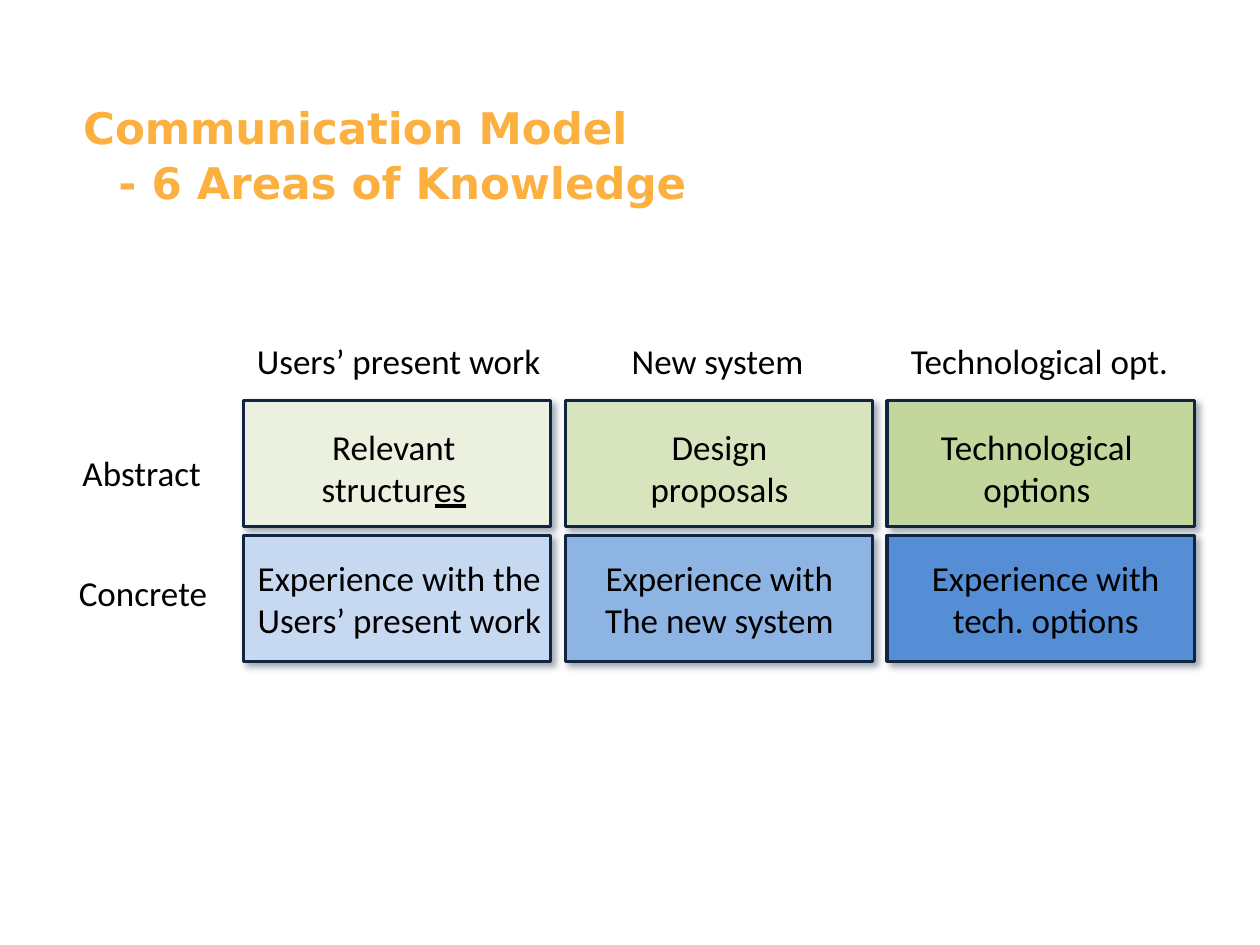
from lxml import etree
from pptx import Presentation
from pptx.dml import color as dml
from pptx.enum import shapes, text
from pptx.oxml import ns
from pptx.util import Inches, Pt

COLORS = {
    "title": "FBB040",
    "text": "000000",
    "border": "10253F",
    "abstract": ("EBF1DE", "D7E4BD", "C3D69B"),
    "concrete": ("C6D9F1", "8EB4E3", "558ED5"),
}
COLUMN_LEFTS = [1.93 + 2.555 * column for column in range(3)]
ROW_TOPS = {"abstract": 3.18, "concrete": 4.25}
CELL_WIDTH, CELL_HEIGHT = 2.44, 1
TEXT_TOPS = {"abstract": 3.32, "concrete": 4.36}

LABELS = [
    ("Abstract", 0.53, 3.53, 1.19),
    ("Concrete", 0.52, 4.48, 1.23),
    ("Users’ present work", 1.93, 2.64, 2.47),
    ("New system", 4.91, 2.64, 1.57),
    ("Technological opt.", 7.12, 2.64, 2.26),
]
AREAS = [
    ("abstract", 2.45, 1.35, False, ["Relevant", ("structur", "es")]),
    ("concrete", 1.89, 2.56, True, ["Experience with the", "Users’ present work"]),
    ("abstract", 4.49, 2.44, True, ["Design", "proposals"]),
    ("concrete", 4.49, 2.44, True, ["Experience with", "The new system"]),
    ("concrete", 7.12, 2.36, True, ["Experience with tech. options"]),
    ("abstract", 7.36, 1.74, False, ["Technological", "options"]),
]


def apply_format(target, values):
    for name, value in values.items():
        setattr(target, name, value)


def style_font(font, color, **values):
    font.color.rgb = dml.RGBColor.from_string(COLORS[color])
    apply_format(font, values)


def place(shape, left, top, width, height):
    apply_format(shape, {
        "left": Inches(left), "top": Inches(top),
        "width": Inches(width), "height": Inches(height),
    })


def add_title(page):
    title = page.shapes.title
    place(title, 0.56, 0.73, 8.84, 1.25)
    apply_format(title.text_frame, {
        "vertical_anchor": text.MSO_ANCHOR.TOP,
        "auto_size": text.MSO_AUTO_SIZE.NONE,
        "word_wrap": True,
    })
    para = title.text_frame.paragraphs[0]
    para.text = "Communication Model \v- 6 Areas of Knowledge"
    apply_format(para, {"alignment": text.PP_ALIGN.LEFT, "line_spacing": 1.05})
    properties = para._p.get_or_add_pPr()
    properties.set("marL", str(Inches(0.28)))
    properties.set("indent", str(-Inches(0.28)))
    for span in para.runs:
        style_font(span.font, "title", name="DejaVu Sans", size=Pt(24.9), bold=True)


def add_shadow(shape):
    shape.shadow.inherit = False
    effects = shape._element.spPr.find(ns.qn("a:effectLst"))
    outer = etree.SubElement(
        effects, ns.qn("a:outerShdw"), blurRad=str(Pt(4)), dist=str(Pt(3)),
        dir="2700000", algn="tl", rotWithShape="0")
    tint = etree.SubElement(outer, ns.qn("a:srgbClr"), val=COLORS["border"])
    etree.SubElement(tint, ns.qn("a:alpha"), val="40000")


def add_cell(page, left, top, fill):
    cell = page.shapes.add_shape(
        shapes.MSO_SHAPE.RECTANGLE, Inches(left), Inches(top),
        Inches(CELL_WIDTH), Inches(CELL_HEIGHT))
    cell.fill.solid()
    cell.fill.fore_color.rgb = dml.RGBColor.from_string(fill)
    cell.line.color.rgb = dml.RGBColor.from_string(COLORS["border"])
    cell.line.width = Pt(1.75)
    add_shadow(cell)


def add_text(page, lines, left, top, width, height, wrap=False):
    box = page.shapes.add_textbox(
        Inches(left), Inches(top), Inches(width), Inches(height))
    frame = box.text_frame
    apply_format(frame, {
        "word_wrap": wrap,
        "auto_size": text.MSO_AUTO_SIZE.SHAPE_TO_FIT_TEXT,
        "vertical_anchor": text.MSO_ANCHOR.MIDDLE,
    })
    for index, line in enumerate(lines):
        para = frame.add_paragraph() if index else frame.paragraphs[0]
        para.alignment = text.PP_ALIGN.CENTER
        plain, *underlined = (line,) if isinstance(line, str) else line
        for part in (plain, *underlined):
            span = para.add_run()
            span.text = part
            style_font(span.font, "text", name="Calibri", size=Pt(20))
            if part in underlined:
                span.font.underline = True


def main():
    deck = Presentation()
    apply_format(deck, {"slide_width": Inches(10), "slide_height": Inches(7.5)})
    page = deck.slides.add_slide(deck.slide_layouts[5])
    add_title(page)
    for label, left, top, width in LABELS:
        add_text(page, [label], left, top, width, 0.44)
    for row, top in ROW_TOPS.items():
        for left, fill in zip(COLUMN_LEFTS, COLORS[row]):
            add_cell(page, left, top, fill)
    for row, left, width, wrap, lines in AREAS:
        add_text(page, lines, left, TEXT_TOPS[row], width, 0.78, wrap)
    deck.save("out.pptx")


if __name__ == "__main__":
    main()
